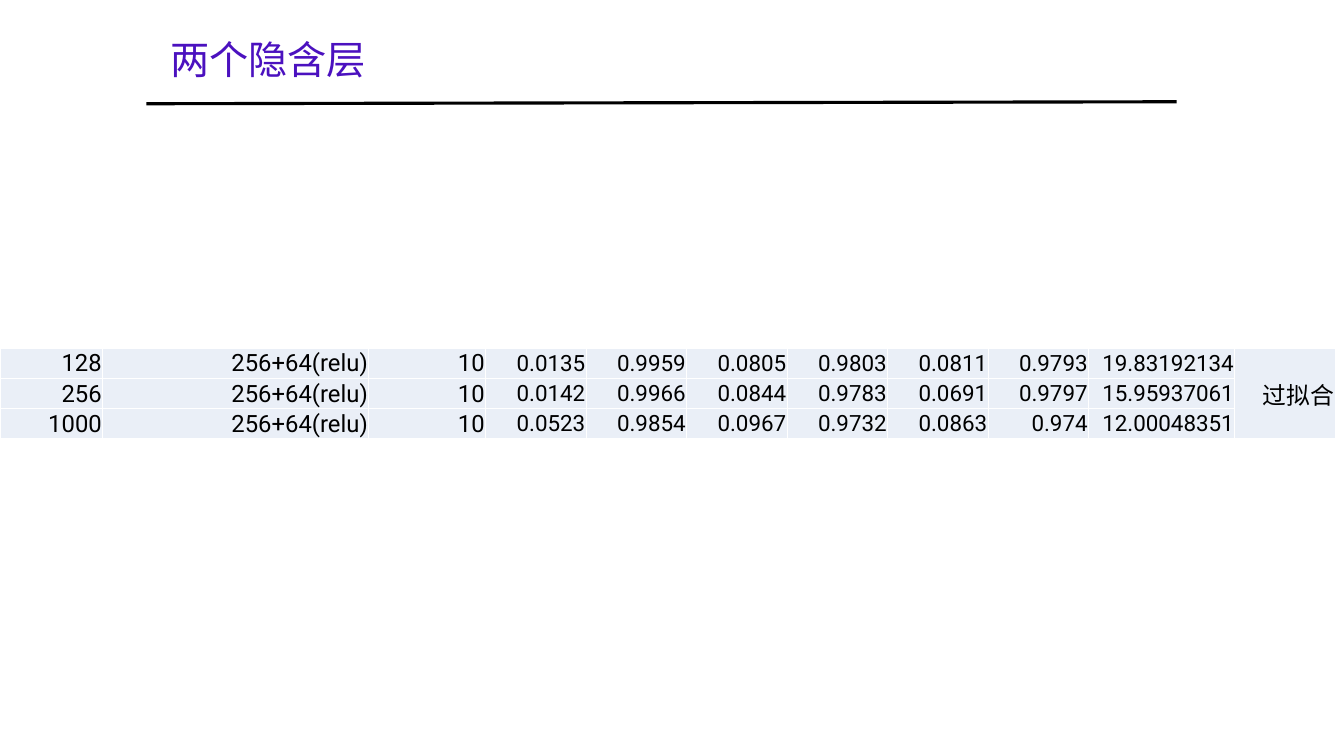
from dataclasses import dataclass

from lxml.etree import SubElement
from pptx import Presentation
from pptx.dml.color import RGBColor
from pptx.enum.shapes import MSO_CONNECTOR
from pptx.enum.text import MSO_ANCHOR, MSO_AUTO_SIZE, PP_ALIGN
from pptx.oxml.ns import qn
from pptx.util import Pt


@dataclass(frozen=True)
class Theme:
    font: str = "Roboto"
    title: str = "4B11BF"
    ink: str = "000000"
    cell: str = "EAEFF7"
    edge: str = "FFFFFF"
    head: int = 28
    label: int = 17
    value: int = 16


THEME = Theme()
WIDTHS = [73.4, 190.1, 83.5] + [71.8] * 6 + [104.4, 71.8]
ROWS = [
    "128 256+64(relu) 10 0.0135 0.9959 0.0805 0.9803 0.0811 0.9793 19.83192134",
    "256 256+64(relu) 10 0.0142 0.9966 0.0844 0.9783 0.0691 0.9797 15.95937061",
    "1000 256+64(relu) 10 0.0523 0.9854 0.0967 0.9732 0.0863 0.974 12.00048351",
]
NOTE = "过拟合"


def style(para, size, color, align):
    para.alignment = align
    font = para.font
    font.name = THEME.font
    font.size = Pt(size)
    font.bold = False
    font.color.rgb = RGBColor.from_string(color)


def add_head(slide, text, left, top, width, height):
    # Title
    title = slide.shapes.title
    title.left, title.top = Pt(left), Pt(top)
    title.width, title.height = Pt(width), Pt(height)
    frame = title.text_frame
    frame.text = text
    frame.word_wrap = True
    frame.auto_size = MSO_AUTO_SIZE.SHAPE_TO_FIT_TEXT
    frame.vertical_anchor = MSO_ANCHOR.MIDDLE
    style(frame.paragraphs[0], THEME.head, THEME.title, PP_ALIGN.LEFT)

    # Rule below the title
    start, base = left - 10, top + height + 11.5
    rule = slide.shapes.add_connector(
        MSO_CONNECTOR.STRAIGHT, Pt(start), Pt(base), Pt(start + 736), Pt(base - 1.4))
    rule.line.color.rgb = RGBColor.from_string(THEME.ink)
    rule.line.width = Pt(2.25)
    SubElement(rule._element.spPr, qn("a:effectLst"))


def format_cell(cell, text, size):
    # Borders come before the fill in the cell properties
    props = cell._tc.get_or_add_tcPr()
    for side in ("lnL", "lnR", "lnT", "lnB"):
        line = SubElement(props, qn(f"a:{side}"), w=str(Pt(1)))
        fill = SubElement(line, qn("a:solidFill"))
        SubElement(fill, qn("a:srgbClr"), val=THEME.edge)
    cell.fill.solid()
    cell.fill.fore_color.rgb = RGBColor.from_string(THEME.cell)
    cell.margin_left = cell.margin_right = cell.margin_top = Pt(0.7)
    cell.margin_bottom = Pt(0)
    cell.vertical_anchor = MSO_ANCHOR.MIDDLE
    cell.text = text
    style(cell.text_frame.paragraphs[0], size, THEME.ink, PP_ALIGN.RIGHT)


def add_results(slide, left, top, height):
    frame = slide.shapes.add_table(
        len(ROWS), len(WIDTHS), Pt(left), Pt(top), Pt(sum(WIDTHS)), Pt(height))
    table = frame.table
    table.first_row = table.horz_banding = False
    for col, width in zip(table.columns, WIDTHS):
        col.width = Pt(width)

    # The note spans every row of the last column
    last = len(WIDTHS) - 1
    table.cell(0, last).merge(table.cell(len(ROWS) - 1, last))
    for i, row in enumerate(ROWS):
        table.rows[i].height = Pt(height / len(ROWS))
        texts = row.split() + [NOTE if i == 0 else ""]
        for j, text in enumerate(texts):
            size = THEME.value if 3 <= j < last else THEME.label
            format_cell(table.cell(i, j), text, size)


def main():
    deck = Presentation()
    deck.slide_width, deck.slide_height = Pt(960), Pt(540)
    slide = deck.slides.add_slide(deck.slide_layouts[5])
    add_head(slide, "两个隐含层", 114.5, 21.6, 378, 41)
    add_results(slide, 0, 248.6, 64.8)
    deck.save("out.pptx")


if __name__ == "__main__":
    main()
